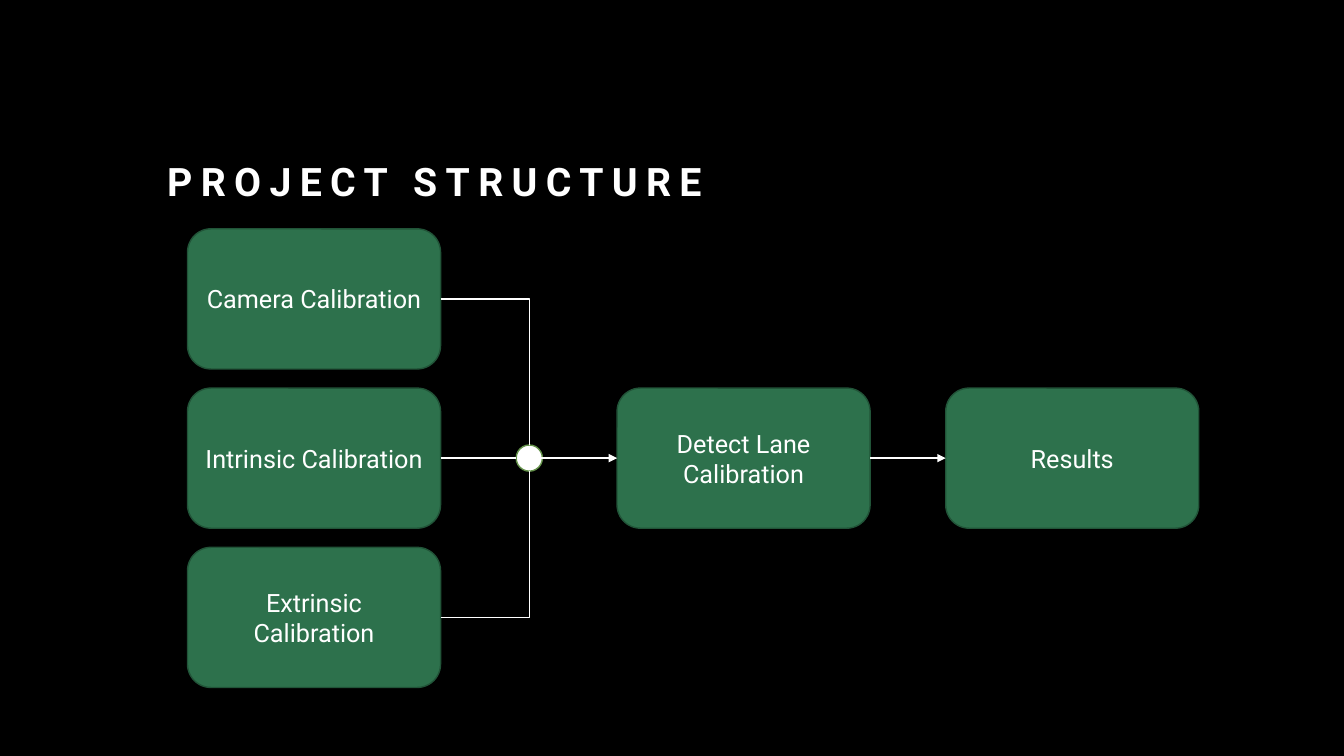
from lxml.etree import SubElement
from pptx import Presentation
from pptx.dml.color import RGBColor
from pptx.enum.shapes import MSO_CONNECTOR, MSO_SHAPE
from pptx.enum.text import MSO_ANCHOR, PP_ALIGN
from pptx.oxml.ns import qn
from pptx.util import Inches, Pt

BLACK = RGBColor(0x00, 0x00, 0x00)
WHITE = RGBColor(0xFF, 0xFF, 0xFF)
GREEN = RGBColor(0x2D, 0x71, 0x4C)
DARK_GREEN = RGBColor(0x21, 0x54, 0x38)
OLIVE = RGBColor(0x64, 0x92, 0x4A)
FONT = "Roboto"

# Grid of the flow, in inches
COLUMNS = (1.86, 6.12, 9.38)
TOP, ROW_PITCH = 2.27, 1.58
BOX_W, BOX_H = 2.51, 1.39
JOIN_X, JOIN_R = 5.25, 0.13

STEPS = (
    ("Camera Calibration", 0, 0),
    ("Intrinsic Calibration", 0, 1),
    ("Extrinsic Calibration", 0, 2),
    ("Detect Lane Calibration", 1, 1),
    ("Results", 2, 1),
)


def row_middle(row):
    return TOP + row * ROW_PITCH + BOX_H / 2


def column_right(col):
    return COLUMNS[col] + BOX_W


def add_run(p, text, size):
    r = p.add_run()
    r.text = text
    r.font.name = FONT
    r.font.size = Pt(size)
    r.font.color.rgb = WHITE
    return r


def add_title(s, text):
    tb = s.shapes.add_textbox(Inches(1.56), Inches(1.14), Inches(10.1), Inches(0.94))
    tf = tb.text_frame
    tf.word_wrap = True
    tf.vertical_anchor = MSO_ANCHOR.BOTTOM
    p = tf.paragraphs[0]
    p.line_spacing = 1.2
    r = add_run(p, text, 28)
    r.font.bold = True
    r.font._element.set("spc", "600")


def add_filled(s, kind, x, y, w, h, fill, line):
    sp = s.shapes.add_shape(kind, Inches(x), Inches(y), Inches(w), Inches(h))
    sp.shadow.inherit = False
    sp.fill.solid()
    sp.fill.fore_color.rgb = fill
    sp.line.color.rgb = line
    sp.line.width = Pt(1)
    return sp


def add_step(s, text, col, row):
    sp = add_filled(s, MSO_SHAPE.ROUNDED_RECTANGLE, COLUMNS[col],
                    TOP + row * ROW_PITCH, BOX_W, BOX_H, GREEN, DARK_GREEN)
    tf = sp.text_frame
    tf.word_wrap = True
    tf.vertical_anchor = MSO_ANCHOR.MIDDLE
    p = tf.paragraphs[0]
    p.alignment = PP_ALIGN.CENTER
    add_run(p, text, 18)


def add_link(s, x1, y1, x2, y2, arrow=False):
    """Draw a straight link, or a one-corner link when the heights differ."""
    bent = y1 != y2
    kind = MSO_CONNECTOR.ELBOW if bent else MSO_CONNECTOR.STRAIGHT
    c = s.shapes.add_connector(kind, Inches(x1), Inches(y1), Inches(x2), Inches(y2))
    c.line.color.rgb = WHITE
    c.line.width = Pt(1)
    sp_pr = c._element.spPr
    if bent:
        sp_pr.find(qn("a:prstGeom")).set("prst", "bentConnector2")
    if arrow:
        SubElement(c.line._get_or_add_ln(), qn("a:tailEnd"), type="triangle")
    SubElement(sp_pr, qn("a:effectLst"))


def main():
    prs = Presentation()
    prs.slide_width = Inches(13.33)
    prs.slide_height = Inches(7.5)
    s = prs.slides.add_slide(prs.slide_layouts[6])
    s.background.fill.solid()
    s.background.fill.fore_color.rgb = BLACK

    add_title(s, "PROJECT STRUCTURE")
    for text, col, row in STEPS:
        add_step(s, text, col, row)

    mid = row_middle(1)
    add_filled(s, MSO_SHAPE.OVAL, JOIN_X - JOIN_R, mid - JOIN_R,
               2 * JOIN_R, 2 * JOIN_R, WHITE, OLIVE)

    start = column_right(0)
    add_link(s, start, row_middle(0), JOIN_X, mid - JOIN_R)
    add_link(s, start, mid, JOIN_X - JOIN_R, mid)
    add_link(s, start, row_middle(2), JOIN_X, mid + JOIN_R)
    add_link(s, JOIN_X, mid, COLUMNS[1], mid, arrow=True)
    add_link(s, column_right(1), mid, COLUMNS[2], mid, arrow=True)

    prs.save("out.pptx")


if __name__ == "__main__":
    main()
